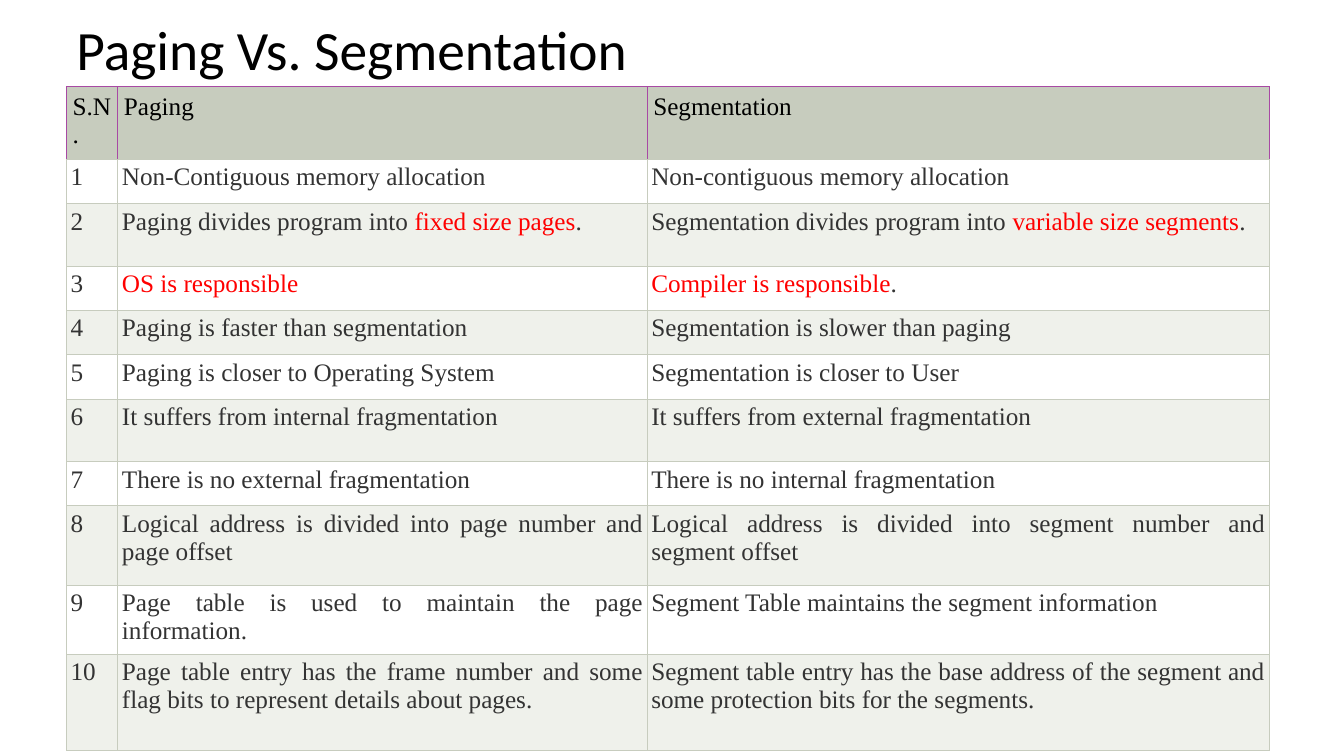
from pptx import Presentation
from pptx.dml.color import RGBColor
from pptx.enum.text import MSO_ANCHOR, PP_ALIGN
from pptx.oxml.ns import qn
from pptx.util import Inches, Pt
from lxml import etree

LEFT, JUSTIFY = PP_ALIGN.LEFT, PP_ALIGN.JUSTIFY
MIDDLE = MSO_ANCHOR.MIDDLE
CELL = Inches(0.1)
COLORS = {
    "title": "000000", "body": "333333", "key": "FF0000",
    "sage": "C7CCBE", "band": "EFF1EB", "plain": "FFFFFF", "purple": "A849A4",
}
HEADINGS = ("S.N.", "Paging", "Segmentation")
DIFFERENCES = [
    ("Non-Contiguous memory allocation", "Non-contiguous memory allocation"),
    ("Paging divides program into *fixed size pages*.",
     "Segmentation divides program into *variable size segments*."),
    ("*OS is responsible*", "*Compiler is responsible*."),
    ("Paging is faster than segmentation", "Segmentation is slower than paging"),
    ("Paging is closer to Operating System", "Segmentation is closer to User"),
    ("It suffers from internal fragmentation", "It suffers from external fragmentation"),
    ("There is no external fragmentation", "There is no internal fragmentation"),
    ("Logical address is divided into page number and page offset",
     "Logical address is divided into segment number and segment offset"),
    ("Page table is used to maintain the page information.",
     "Segment Table maintains the segment information"),
    ("Page table entry has the frame number and some flag bits to represent details about pages.",
     "Segment table entry has the base address of the segment and some protection bits for the segments."),
]
COLUMN_WIDTHS = (5.1, 52.5, 61.7)
ROW_HEIGHTS = (6.8, 4.4, 6.2, 4.4, 4.4, 4.4, 6.2, 4.4, 7.9, 6.4, 9.6)


def grid(cells):
    return round(cells * CELL)


def write(frame, text, *, font, size, color, align=LEFT, spacing=1.0):
    paragraph = frame.paragraphs[0]
    paragraph.alignment = align
    paragraph.line_spacing = spacing
    for position, part in enumerate(text.split("*")):
        if part:
            run = paragraph.add_run()
            run.text = part
            run.font.name = font
            run.font.size = Pt(size)
            shade = "key" if position % 2 else color
            run.font.color.rgb = RGBColor.from_string(COLORS[shade])


class Comparison:
    title_font, table_font = "Calibri", "Times New Roman"

    def __init__(self, slide):
        self.slide = slide

    def title(self, text, left, top, width, height):
        heading = self.slide.shapes.add_textbox(*map(grid, (left, top, width, height)))
        frame = heading.text_frame
        frame.word_wrap = True
        frame.vertical_anchor = MIDDLE
        write(frame, text, font=self.title_font, size=39.6, color="title", spacing=0.9)

    def borders(self, cell, sides):
        properties = cell._tc.get_or_add_tcPr()
        for side, color in sides.items():
            line = etree.SubElement(properties, qn(f"a:ln{side}"), w=str(Pt(0.75)))
            fill = etree.SubElement(line, qn("a:solidFill"))
            etree.SubElement(fill, qn("a:srgbClr"), val=COLORS[color])

    def cell(self, cell, text, *, inset, fill, edge, color, align):
        cell.margin_left = cell.margin_right = grid(inset)
        cell.margin_top = cell.margin_bottom = grid(inset)
        self.borders(cell, {"L": edge, "R": edge, "T": edge, "B": "sage"})
        cell.fill.solid()
        cell.fill.fore_color.rgb = RGBColor.from_string(COLORS[fill])
        write(cell.text_frame, text, font=self.table_font, size=18, color=color, align=align)

    def table(self, rows, left, top):
        table = self.slide.shapes.add_table(
            len(rows), len(COLUMN_WIDTHS), grid(left), grid(top),
            grid(sum(COLUMN_WIDTHS)), grid(sum(ROW_HEIGHTS))).table
        for column, width in zip(table.columns, COLUMN_WIDTHS):
            column.width = grid(width)
        for number, (row, height, texts) in enumerate(zip(table.rows, ROW_HEIGHTS, rows)):
            row.height = grid(height)
            if number == 0:
                look = dict(inset=0.6, fill="sage", edge="purple", color="title", align=LEFT)
            else:
                look = dict(inset=0.4, fill="plain" if number % 2 else "band",
                            edge="sage", color="body", align=JUSTIFY)
            for cell, text in zip(row.cells, texts):
                self.cell(cell, text, **look)


def main():
    deck = Presentation()
    deck.slide_width, deck.slide_height = Inches(13.33), Inches(7.5)
    comparison = Comparison(deck.slides.add_slide(deck.slide_layouts[6]))
    comparison.title("Paging Vs. Segmentation", 6.6, 1.8, 115, 6.8)
    numbered = [(str(number), *pair) for number, pair in enumerate(DIFFERENCES, 1)]
    comparison.table([HEADINGS, *numbered], 6.6, 8.6)
    deck.save("out.pptx")


if __name__ == "__main__":
    main()
